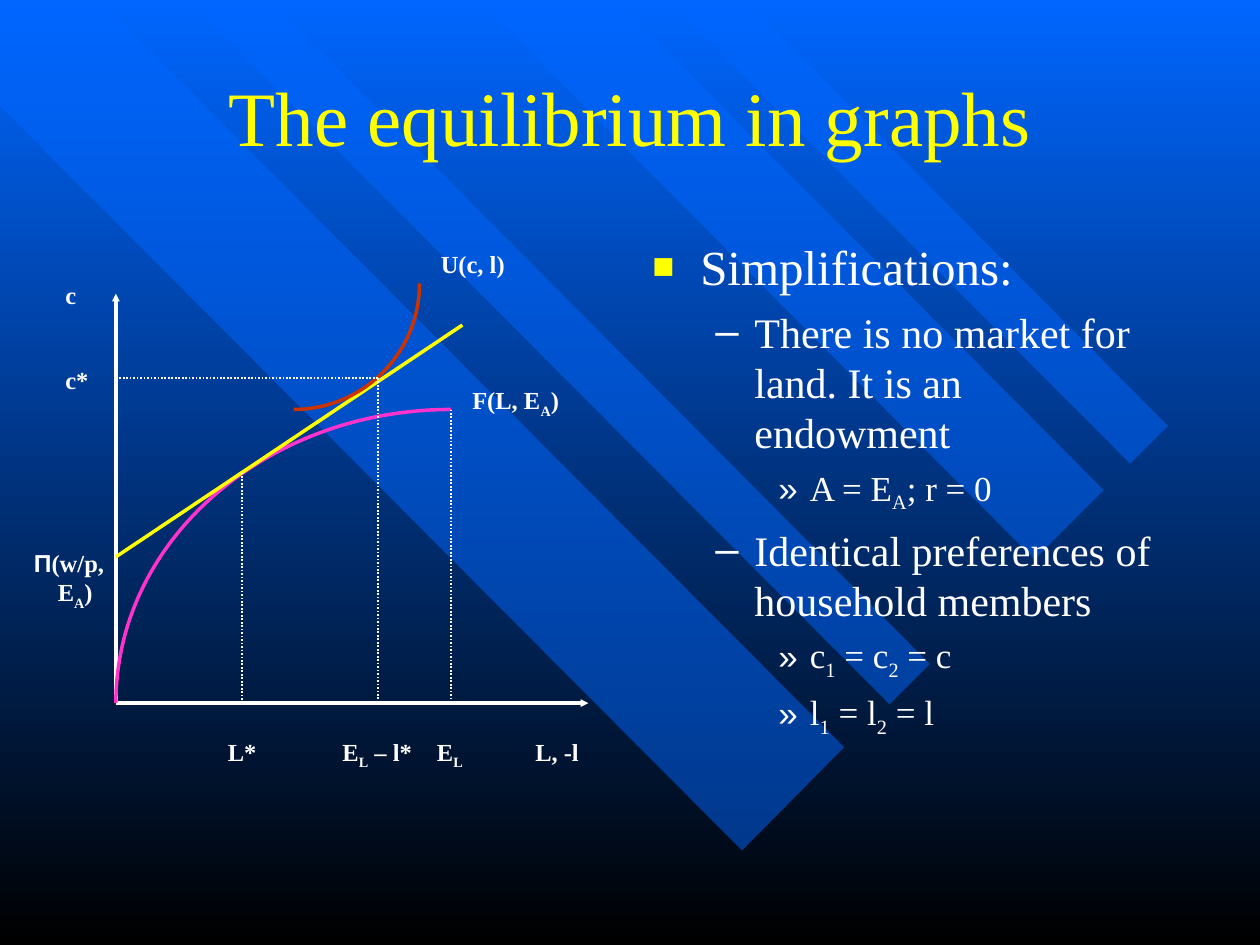
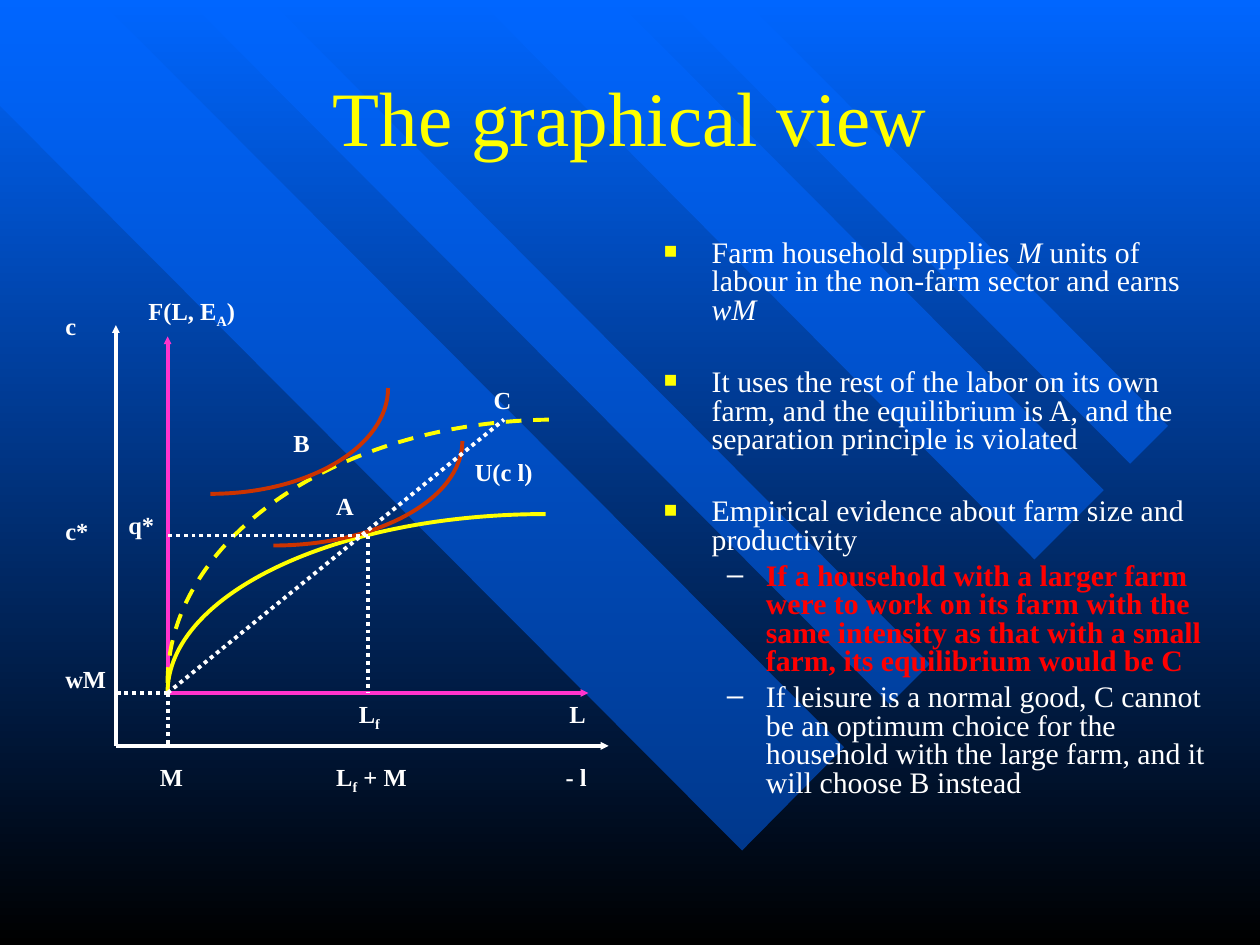
from lxml.etree import SubElement
from pptx import Presentation
from pptx.dml.color import RGBColor
from pptx.enum.dml import MSO_LINE
from pptx.enum.shapes import MSO_CONNECTOR
from pptx.enum.text import MSO_ANCHOR, PP_ALIGN
from pptx.oxml.ns import qn
from pptx.util import Inches, Pt

SERIF = "Times New Roman"
WHITE, YELLOW, PINK, RUST = "FFFFFF", "FFFF00", "FF33CC", "CC3300"
RED, BLUE, BLACK = "FF0000", "0066FF", "000000"
DOTS, DASHES = MSO_LINE.ROUND_DOT, MSO_LINE.DASH
QUARTER_ARC = 0.5523

BANDS = [
    [(6.7, 5.93), (0.79, 0), (0, 0), (0, 0.84), (5.89, 6.75)],
    [(2.14, 0), (7.38, 5.27), (7.06, 5.59), (1.49, 0)],
    [(4.89, 0), (8.76, 3.89), (8.21, 4.44), (3.8, 0)],
    [(5.3, 0), (8.97, 3.68), (9.27, 3.38), (5.91, 0)],
]
LEVELS = [
    {"indent": 0.38, "hanging": 0.38, "symbol": "■", "color": YELLOW, "percent": 75},
    {"indent": 0.81, "hanging": 0.31, "symbol": "–", "color": WHITE, "percent": 100},
    {"indent": 1.25, "hanging": 0.25, "symbol": "»", "color": WHITE, "percent": 100},
]


def rgb(color):
    return RGBColor.from_string(color)


def write(para, text, size=14, color=WHITE, bold=False, font=SERIF, accent="subscript"):
    for index, part in enumerate(text.split("|")):
        if not part:
            continue
        span = para.add_run()
        span.text = part
        span.font.name = font
        span.font.size = Pt(size)
        span.font.bold = bold
        span.font.color.rgb = rgb(color)
        if index % 2 and accent == "italic":
            span.font.italic = True
        elif index % 2:
            span.font._element.set("baseline", "-25000")


def add_box(page, left, top, width, height):
    box = page.shapes.add_textbox(Inches(left), Inches(top), Inches(width), Inches(height))
    box.text_frame.word_wrap = True
    return box.text_frame


def add_label(page, left, top, text):
    frame = add_box(page, left, top, 1, 0.34)
    write(frame.paragraphs[0], text, bold=True)


def set_bullet(para, level):
    style = LEVELS[level]
    properties = para._p.get_or_add_pPr()
    properties.set("marL", str(Inches(style["indent"])))
    properties.set("indent", str(-Inches(style["hanging"])))
    bullet_color = SubElement(properties, qn("a:buClr"))
    SubElement(bullet_color, qn("a:srgbClr"), val=style["color"])
    SubElement(properties, qn("a:buSzPct"), val=str(style["percent"] * 1000))
    SubElement(properties, qn("a:buFont"), typeface="Arial")
    SubElement(properties, qn("a:buChar"), char=style["symbol"])
    para.level = level


def add_bullets(page, left, top, width, items, spacing=1.0):
    frame = add_box(page, left, top, width, 4.87)
    for index, (level, before, text, form) in enumerate(items):
        para = frame.add_paragraph() if index else frame.paragraphs[0]
        set_bullet(para, level)
        para.line_spacing = spacing
        para.space_before = Pt(before)
        write(para, text, **form)


def format_line(shape, color, width, dash=None):
    shape.line.color.rgb = rgb(color)
    shape.line.width = Pt(width)
    if dash is not None:
        shape.line.dash_style = dash


def add_line(page, start, end, color=WHITE, width=2.25, dash=None, arrow=False):
    line = page.shapes.add_connector(
        MSO_CONNECTOR.STRAIGHT, *(Inches(value) for value in (*start, *end)))
    format_line(line, color, width, dash)
    SubElement(line._element.spPr, qn("a:effectLst"))
    if arrow:
        SubElement(line.line._get_or_add_ln(), qn("a:tailEnd"),
                   type="triangle", w="sm", len="sm")


def add_axes(page, origin, top, right, color=WHITE):
    x, y = origin
    for end in ((x, top), (right, y)):
        add_line(page, origin, end, color, arrow=True)


def add_outline(page, points):
    corners = [(Inches(x), Inches(y)) for x, y in points]
    builder = page.shapes.build_freeform(*corners[0])
    builder.add_line_segments(corners[1:], close=len(corners) > 2)
    outline = builder.convert_to_shape()
    outline.shadow.inherit = False
    return outline


def add_curve(page, upright_end, level_end, color, width=2.25, dash=None):
    curve = add_outline(page, [upright_end, level_end])
    curve.fill.background()
    format_line(curve, color, width, dash)
    (x1, y1), (x2, y2) = upright_end, level_end
    controls = [
        (x1, y1 + (y2 - y1) * QUARTER_ARC),
        (x2 + (x1 - x2) * QUARTER_ARC, y2),
        level_end,
    ]
    segment = next(curve._element.iter(qn("a:lnTo")))
    outline = segment.getparent()
    outline.remove(segment)
    bend = SubElement(outline, qn("a:cubicBezTo"))
    for x, y in controls:
        SubElement(bend, qn("a:pt"), x=str(Inches(x - min(x1, x2))),
                   y=str(Inches(y - min(y1, y2))))


def decorate_master(deck, page):
    master = deck.slide_master
    fill = master.background.fill
    fill.gradient()
    fill.gradient_angle = 270
    for stop, color in zip(fill.gradient_stops, (BLUE, BLACK)):
        stop.color.rgb = rgb(color)
    for index, points in enumerate(BANDS):
        band = add_outline(page, points)
        band.fill.solid()
        band.fill.fore_color.rgb = rgb(BLUE)
        band.line.fill.background()
        tint = next(band._element.iter(qn("a:srgbClr")))
        SubElement(tint, qn("a:alpha"), val="50000")
        master.shapes._spTree.insert(2 + index, band._element)


def add_page(deck, heading):
    page = deck.slides.add_slide(deck.slide_layouts[5])
    title = page.shapes.title
    title.left, title.top = Inches(0.75), Inches(0.25)
    title.width, title.height = Inches(8.5), Inches(1.33)
    title.text_frame.vertical_anchor = MSO_ANCHOR.MIDDLE
    para = title.text_frame.paragraphs[0]
    para.alignment = PP_ALIGN.CENTER
    write(para, heading, size=44, color=YELLOW)
    return page


def add_profit_label(page):
    frame = add_box(page, 0.17, 4.3, 0.85, 0.6)
    first = frame.paragraphs[0]
    write(first, "Π", bold=True, font="Arial")
    write(first, "(w/p,", bold=True)
    second = frame.add_paragraph()
    second._p.get_or_add_pPr().set("marL", str(Inches(0.19)))
    write(second, "E|A|)", bold=True)


def build_equilibrium(page):
    large, medium, small = {"size": 28}, {"size": 24}, {"size": 20}
    add_bullets(page, 5.08, 1.83, 4.17, [
        (0, 0, "Simplifications:", large),
        (1, 6, "There is no market for land. It is an endowment", medium),
        (2, 5, "A = E|A|; r = 0", small),
        (1, 6, "Identical preferences of household members", medium),
        (2, 5, "c|1| = c|2| = c", small),
        (2, 5, "l|1| = l|2| = l", small),
    ])
    origin = (0.92, 5.58)
    add_axes(page, origin, 2.33, 4.67)
    add_curve(page, origin, (3.58, 3.25), PINK, 2)
    add_line(page, (0.92, 4.42), (3.67, 2.58), YELLOW, 2)
    add_curve(page, (3.33, 2.25), (2.33, 3.25), RUST, 2)
    for x, y in ((1.92, 3.75), (3.58, 3.25), (3, 3)):
        add_line(page, (x, y), (x, 5.58), width=1, dash=DOTS)
    add_line(page, (3, 3), (0.92, 3), width=1, dash=DOTS)
    for left, text in ((1.71, "L*"), (2.62, "E|L| – l*"), (3.37, "E|L"), (4.15, "L, -l")):
        add_label(page, left, 5.8, text)
    add_label(page, 3.65, 3.01, "F(L, E|A|)")
    add_label(page, 3.4, 1.93, "U(c, l)")
    add_label(page, 0.42, 2.17, "c")
    add_label(page, 0.42, 2.85, "c*")
    add_profit_label(page)


def build_graphical_view(page):
    plain = {"size": 17, "accent": "italic"}
    strong = {"size": 17, "color": RED, "bold": True}
    add_bullets(page, 5.17, 1.86, 4.58, [
        (0, 0, "Farm household supplies |M| units of labour in the non-farm sector "
               "and earns |wM", plain),
        (0, 24.8, "It uses the rest of the labor on its own farm, and the equilibrium "
                  "is A, and the separation principle is violated", plain),
        (0, 24.8, "Empirical evidence about farm size and productivity", plain),
        (1, 4.2, "If a household with a larger farm were to work on its farm with the "
                 "same intensity as that with a small farm, its equilibrium would be C",
         strong),
        (1, 4.2, "If leisure is a normal good, C cannot be an optimum choice for the "
                 "household with the large farm, and it will choose B instead", plain),
    ], spacing=0.8)
    farm_origin, optimum = (1.33, 5.5), (2.92, 4.25)
    add_axes(page, (0.92, 5.92), 2.58, 4.83)
    add_axes(page, farm_origin, 2.67, 4.67, PINK)
    add_curve(page, farm_origin, (4.33, 4.08), YELLOW)
    add_curve(page, (1.33, 5.42), (4.42, 3.33), YELLOW, dash=DASHES)
    add_curve(page, (3.67, 3.5), (2.17, 4.33), RUST)
    add_curve(page, (3.08, 3.08), (1.67, 3.92), RUST)
    for end in ((1.33, 5.92), (0.92, 5.5), (4, 3.33)):
        add_line(page, farm_origin, end, dash=DOTS)
    for end in ((2.92, 5.5), (1.33, 4.25)):
        add_line(page, optimum, end, dash=DOTS)
    for left, text in ((1.17, "M"), (2.57, "L|f| + M"), (4.39, "- l")):
        add_label(page, left, 6, text)
    for left, text in ((2.75, "L|f"), (4.42, "L")):
        add_label(page, left, 5.5, text)
    for top, text in ((2.42, "c"), (4.05, "c*"), (5.22, "wM")):
        add_label(page, 0.42, top, text)
    add_label(page, 1.08, 2.3, "F(L, E|A|)")
    add_label(page, 0.92, 4, "q*")
    add_label(page, 2.23, 3.35, "B")
    add_label(page, 3.82, 3.01, "C")
    add_label(page, 2.57, 3.85, "A")
    add_label(page, 3.67, 3.58, "U(c l)")


def main():
    deck = Presentation()
    deck.slide_width, deck.slide_height = Inches(10), Inches(7.5)
    equilibrium = add_page(deck, "The equilibrium in graphs")
    decorate_master(deck, equilibrium)
    build_equilibrium(equilibrium)
    build_graphical_view(add_page(deck, "The graphical view"))
    deck.save("out.pptx")


if __name__ == "__main__":
    main()
